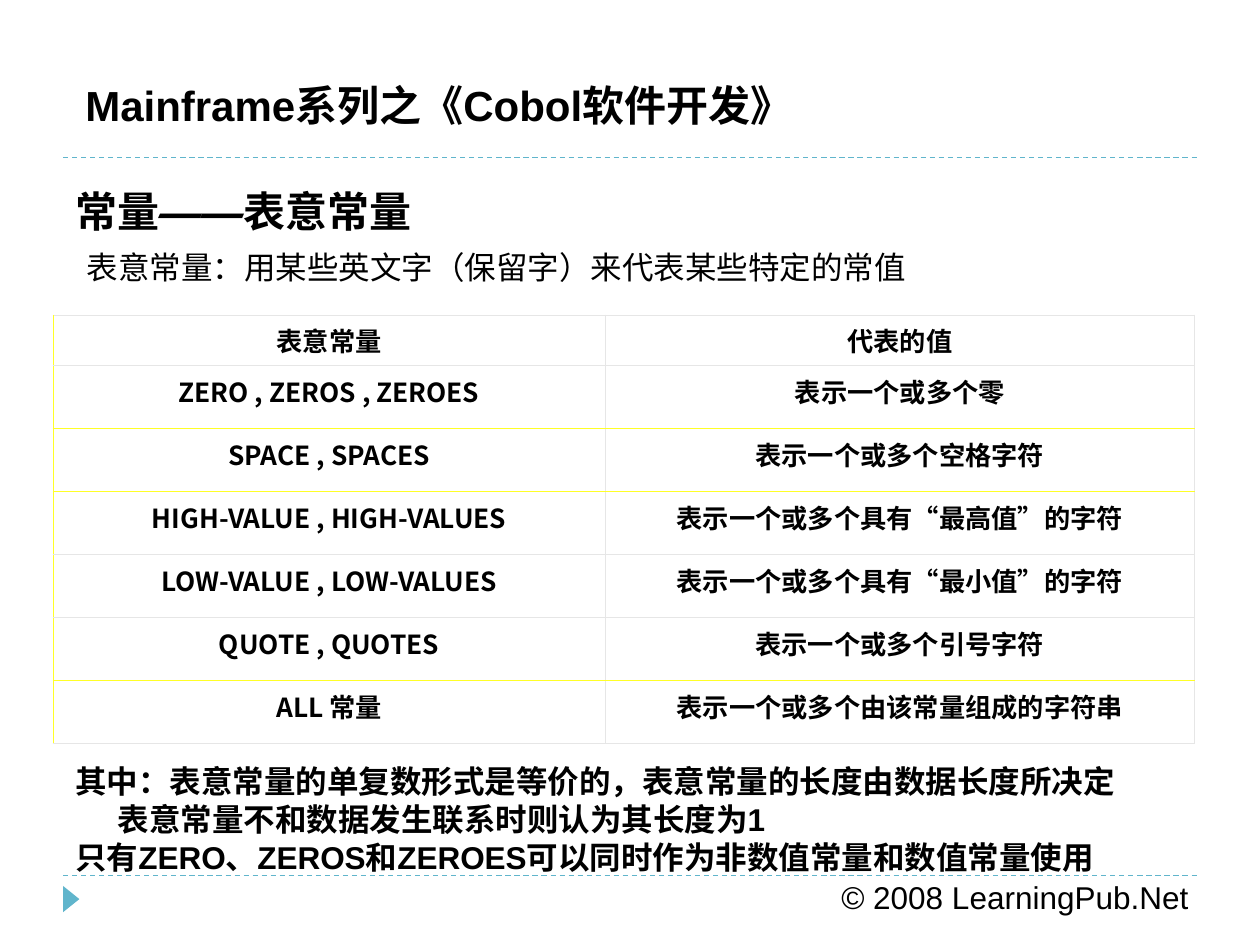
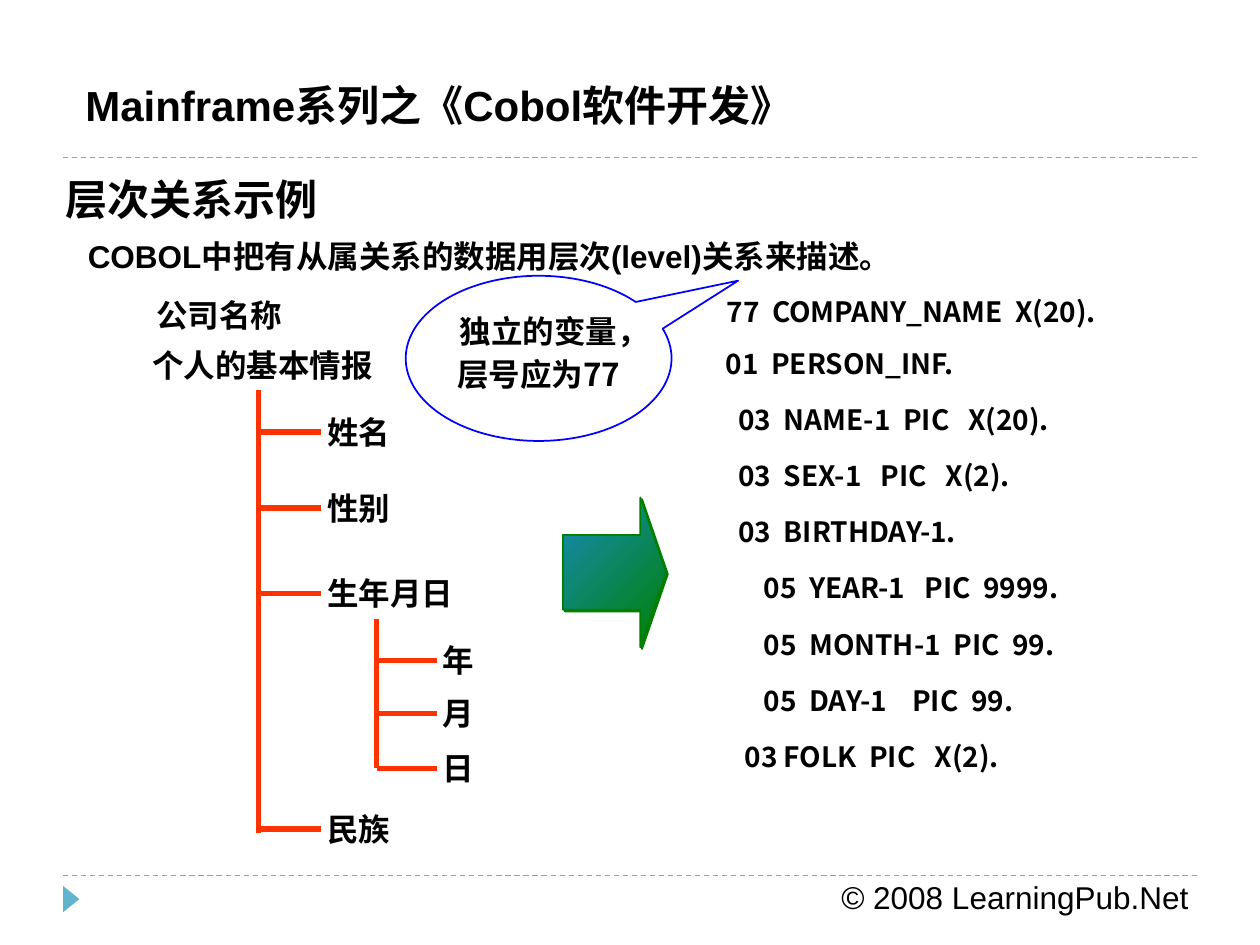
"""Build two COBOL course slides: figurative constants and level hierarchy."""
import pptx
import pptx.util
import pptx.dml.color
import pptx.enum.dml
import pptx.enum.shapes
import pptx.enum.text
import pptx.oxml.ns
from lxml import etree

Cm, Pt, qn = pptx.util.Cm, pptx.util.Pt, pptx.oxml.ns.qn
SHAPES = pptx.enum.shapes.MSO_SHAPE
ALIGN = pptx.enum.text.PP_ALIGN
DASH = pptx.enum.dml.MSO_LINE.DASH

BLACK, TEAL, RED, GREEN, SEA, BLUE = "000000", "60B5CC", "FF3300", "008000", "168BBA", "0000FF"
YELLOW, GRAY = "FFFF27", "E6E6E6"
ARIAL, NOTO, BONUM = "Arial", "Noto Sans CJK SC", "TeX Gyre Bonum"

BANNER = "Mainframe系列之《Cobol软件开发》"
FOOTER = "© 2008 LearningPub.Net"
RULE_TOPS = (3.18, 17.65)

BODY = {"name": ARIAL, "size": Pt(18), "bold": False}
STRONG = {**BODY, "bold": True}
HEADING = {**STRONG, "size": Pt(24)}
LABEL = {**STRONG, "name": NOTO}
CODE = {**LABEL, "size": Pt(16)}
CELL = {**LABEL, "size": Pt(15)}
LOOSE = {"line_spacing": 1.15}

CONSTANTS_TITLE = [("常量——", BONUM), ("表意常量", NOTO)]
CONSTANTS_INTRO = "表意常量：用某些英文字（保留字）来代表某些特定的常值"
CONSTANTS = [
    ("表意常量", "代表的值"),
    ("ZERO , ZEROS , ZEROES", "表示一个或多个零"),
    ("SPACE , SPACES", "表示一个或多个空格字符"),
    ("HIGH-VALUE , HIGH-VALUES", "表示一个或多个具有“最高值”的字符"),
    ("LOW-VALUE , LOW-VALUES", "表示一个或多个具有“最小值”的字符"),
    ("QUOTE , QUOTES", "表示一个或多个引号字符"),
    ("ALL 常量", "表示一个或多个由该常量组成的字符串"),
]
COLUMN_WIDTHS = (11.13, 11.88)
HEADER_HEIGHT, ROW_HEIGHT = 1.02, 1.27
YELLOW_RULES = (2, 3, 6)
NOTES = [
    "其中：表意常量的单复数形式是等价的，表意常量的长度由数据长度所决定",
    "表意常量不和数据发生联系时则认为其长度为1",
    "只有ZERO、ZEROS和ZEROES可以同时作为非数值常量和数值常量使用",
]
INDENTED_NOTE = 1

LEVELS_TITLE = [("层次关系示例", BONUM)]
LEVELS_INTRO = "COBOL中把有从属关系的数据用层次(level)关系来描述。"
ROOTS = [("公司名称", 2.9, 5.72), ("个人的基本情报", 2.82, 6.73)]
TREE = [
    {"trunk": (5.21, 7.87, 16.79), "start": 5.26,
     "branches": [("姓名", 8.71), ("性别", 10.24), ("生年月日", 11.96), ("民族", 16.71)]},
    {"trunk": (7.59, 12.47, 15.49), "start": 7.59,
     "branches": [("年", 13.31), ("月", 14.38), ("日", 15.49)]},
]
BRANCH_LENGTH, LABEL_OFFSET, LABEL_RISE, LABEL_HEIGHT = 1.22, 1.09, 0.62, 1.14
CALLOUT = "独立的变量，层号应为77"
INDEPENDENT_ITEM = "77  COMPANY_NAME  X(20)."
RECORD = [
    "01  PERSON_INF.",
    "  03  NAME-1  PIC   X(20).",
    "  03  SEX-1   PIC   X(2).",
    "  03  BIRTHDAY-1.",
    "      05  YEAR-1   PIC  9999.",
    "      05  MONTH-1  PIC  99.",
    "      05  DAY-1    PIC  99.",
    "   03 FOLK  PIC   X(2).",
]


def color(value):
    """Turn a hex string into a colour."""
    return pptx.dml.color.RGBColor.from_string(value)


def lengths(*values):
    """Turn centimetres into lengths."""
    return [Cm(value) for value in values]


def assign(target, values):
    """Set attributes from a dict."""
    for name, value in values.items():
        setattr(target, name, value)


def add_run(paragraph, text, style):
    """Add a run with the same font for Latin and East Asian text."""
    run = paragraph.add_run()
    run.text = text
    assign(run.font, style)
    run.font.color.rgb = color(BLACK)
    etree.SubElement(run.font._element, qn("a:ea"), typeface=style["name"])


def write(frame, lines, style, layout=None, gap=0):
    """Write one paragraph per line into a text frame."""
    frame.word_wrap = True
    frame.vertical_anchor = pptx.enum.text.MSO_ANCHOR.TOP
    for index, line in enumerate(lines):
        paragraph = frame.add_paragraph() if index else frame.paragraphs[0]
        assign(paragraph, layout or {})
        if index and gap:
            paragraph.space_before = Pt(gap)
        add_run(paragraph, line, style)


def add_text(slide, box, lines, style, layout=None, gap=0):
    """Add a text box."""
    shape = slide.shapes.add_textbox(*lengths(*box))
    write(shape.text_frame, lines, style, layout, gap)
    return shape


def add_line(slide, ends, line_color, width, dash=None):
    """Add a straight line without a shadow."""
    kind = pptx.enum.shapes.MSO_CONNECTOR.STRAIGHT
    connector = slide.shapes.add_connector(kind, *lengths(*ends))
    connector.line.color.rgb = color(line_color)
    assign(connector.line, {"width": Pt(width), "dash_style": dash})
    etree.SubElement(connector._element.spPr, qn("a:effectLst"))


def add_shape(slide, kind, box, line_color=None, adjustments=()):
    """Add a preset shape without a shadow."""
    shape = slide.shapes.add_shape(kind, *lengths(*box))
    shape.shadow.inherit = False
    for index, value in enumerate(adjustments):
        shape.adjustments[index] = value
    if line_color:
        shape.line.color.rgb = color(line_color)
        shape.line.width = Pt(1)
    else:
        shape.line.fill.background()
    return shape


def add_slide(presentation, title_runs, title_box):
    """Add a slide with its title, banner, rules and footer."""
    slide = presentation.slides.add_slide(presentation.slide_layouts[5])
    for top in RULE_TOPS:
        add_line(slide, (1.27, top, 24.13, top), TEAL, 0.75, DASH)
    marker = add_shape(slide, SHAPES.ISOSCELES_TRIANGLE, (1.17, 17.96, 0.53, 0.33))
    marker.rotation = 90
    marker.fill.solid()
    marker.fill.fore_color.rgb = color(TEAL)
    add_text(slide, (16.71, 17.58, 7.62, 1.02), [FOOTER], BODY)
    add_text(slide, (1.47, 1.47, 15.44, 1.27), [BANNER], HEADING)

    title = slide.shapes.title
    assign(title, dict(zip(("left", "top", "width", "height"), lengths(*title_box))))
    assign(title.text_frame, {"word_wrap": True,
                              "auto_size": pptx.enum.text.MSO_AUTO_SIZE.NONE,
                              "vertical_anchor": pptx.enum.text.MSO_ANCHOR.TOP})
    paragraph = title.text_frame.paragraphs[0]
    paragraph.alignment = ALIGN.LEFT
    for text, font in title_runs:
        add_run(paragraph, text, {**HEADING, "name": font})
    return slide


def set_borders(cell, colors):
    """Draw the borders of a cell, ahead of its fill."""
    properties = cell._tc.get_or_add_tcPr()
    for position, (side, value) in enumerate(colors.items()):
        border = etree.Element(qn(f"a:ln{side}"), w=str(Pt(0.45)))
        fill = etree.SubElement(border, qn("a:solidFill"))
        etree.SubElement(fill, qn("a:srgbClr"), val=value)
        properties.insert(position, border)


def add_constants_table(slide):
    """Add the table of figurative constants."""
    heights = [HEADER_HEIGHT] + [ROW_HEIGHT] * (len(CONSTANTS) - 1)
    box = lengths(1.07, 6.35, sum(COLUMN_WIDTHS), sum(heights))
    table = slide.shapes.add_table(len(CONSTANTS), len(COLUMN_WIDTHS), *box).table
    assign(table, {"first_row": False, "horz_banding": False})
    for column, width in zip(table.columns, COLUMN_WIDTHS):
        column.width = Cm(width)
    for row, texts in enumerate(CONSTANTS):
        table.rows[row].height = Cm(heights[row])
        above, below = (YELLOW if edge in YELLOW_RULES else GRAY for edge in (row, row + 1))
        for column, text in enumerate(texts):
            cell = table.cell(row, column)
            cell.fill.background()
            write(cell.text_frame, [text], CELL, {"alignment": ALIGN.CENTER})
            set_borders(cell, {"L": GRAY if column else YELLOW, "R": GRAY,
                               "T": above, "B": below})


def add_tree(slide):
    """Add the trunks, branches and labels of the data hierarchy."""
    for text, left, top in ROOTS:
        add_text(slide, (left, top, 5.1, LABEL_HEIGHT), [text], LABEL, LOOSE)
    for level in TREE:
        trunk, top, bottom = level["trunk"]
        start = level["start"]
        add_line(slide, (trunk, top, trunk, bottom), RED, 3)
        for text, middle in level["branches"]:
            add_line(slide, (start, middle, start + BRANCH_LENGTH, middle), RED, 3)
            box = (start + LABEL_OFFSET, middle - LABEL_RISE,
                   0.6 + 0.68 * len(text), LABEL_HEIGHT)
            add_text(slide, box, [text], LABEL, LOOSE)


def add_arrow(slide):
    """Add the gradient arrow with its narrow green shadow."""
    arrow = add_shape(slide, SHAPES.RIGHT_ARROW, (11.35, 10.03, 2.08, 3.02), GREEN, (0.5, 0.25))
    arrow.fill.gradient()
    arrow.fill.gradient_angle = 135
    for stop, value in zip(arrow.fill.gradient_stops, (GREEN, SEA)):
        stop.color.rgb = color(value)
    effects = arrow._element.spPr.find(qn("a:effectLst"))
    shadow = etree.SubElement(effects, qn("a:outerShdw"), dist=str(Pt(1.4)), dir="2700000")
    etree.SubElement(shadow, qn("a:srgbClr"), val=GREEN)


def build_constants(presentation):
    """Build the slide on figurative constants."""
    slide = add_slide(presentation, CONSTANTS_TITLE, (1.27, 3.61, 22.86, 3.18))
    add_text(slide, (1.5, 4.88, 17.15, 1.02), [CONSTANTS_INTRO], BODY)
    add_constants_table(slide)
    notes = add_text(slide, (1.27, 15.24, 22.86, 2.54), NOTES, STRONG)
    indented = notes.text_frame.paragraphs[INDENTED_NOTE]
    indented._p.get_or_add_pPr().set("marL", str(Cm(0.85)))


def build_levels(presentation):
    """Build the slide on level numbers."""
    slide = add_slide(presentation, LEVELS_TITLE, (1.07, 3.38, 22.86, 3.18))
    add_tree(slide)
    add_arrow(slide)
    add_text(slide, (14.38, 6.76, 9.68, 8.97), RECORD, CODE, LOOSE, gap=10)
    add_text(slide, (14.4, 5.72, 8.26, 1.04), [INDEPENDENT_ITEM], CODE, LOOSE)
    callout = add_shape(slide, SHAPES.OVAL_CALLOUT, (8.18, 5.56, 5.36, 3.33),
                        BLUE, (0.75, -0.47))
    callout.fill.background()
    write(callout.text_frame, [CALLOUT], LABEL, {**LOOSE, "alignment": ALIGN.CENTER})
    add_text(slide, (1.52, 4.65, 17.15, 1.02), [LEVELS_INTRO], STRONG)


def main():
    """Build and save the presentation."""
    presentation = pptx.Presentation()
    assign(presentation, {"slide_width": Cm(25.4), "slide_height": Cm(19.05)})
    build_constants(presentation)
    build_levels(presentation)
    presentation.save("out.pptx")


if __name__ == "__main__":
    main()
